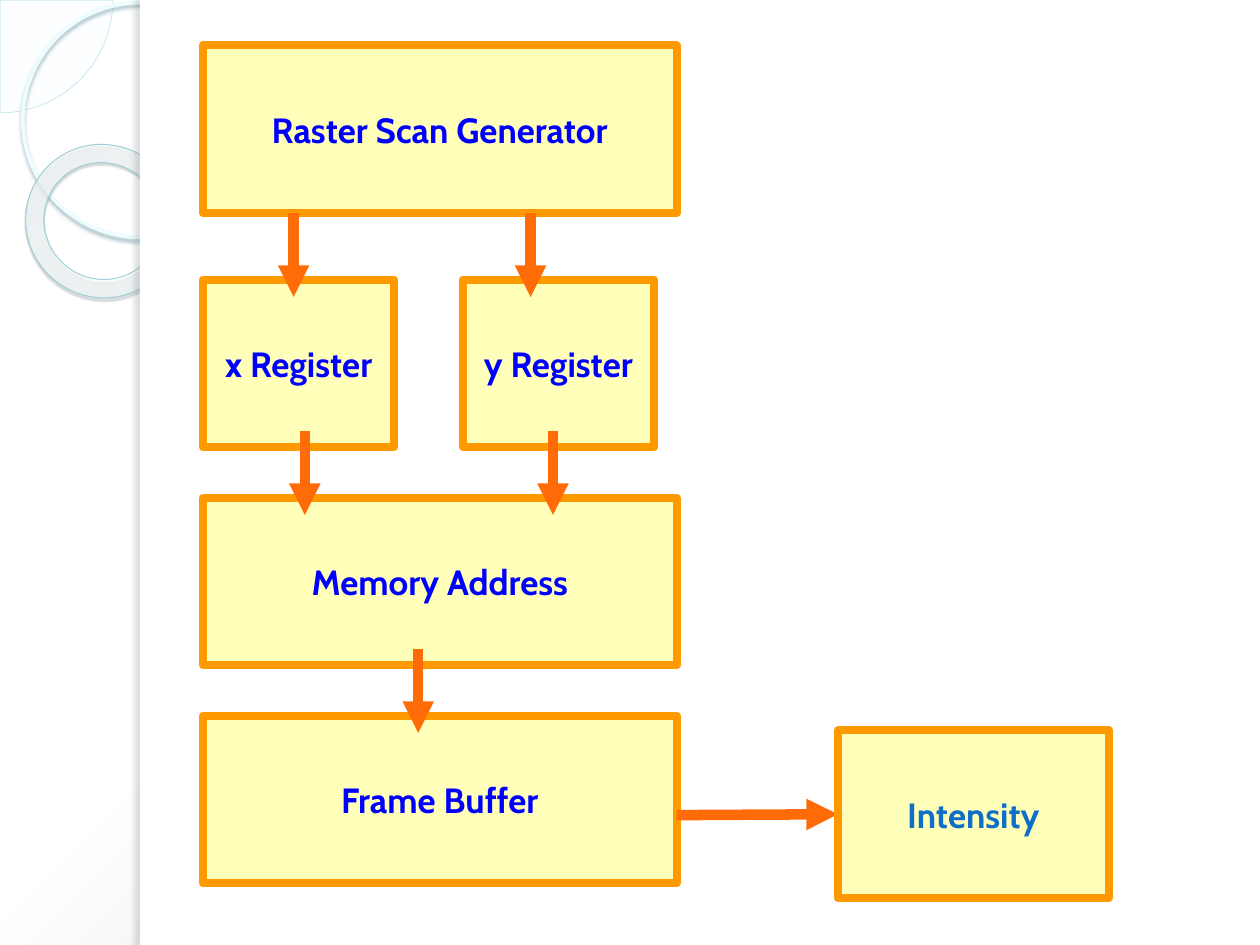
from dataclasses import dataclass
from typing import NamedTuple, Optional

from lxml import etree
from pptx import Presentation
from pptx.dml.color import RGBColor
from pptx.enum.shapes import MSO_CONNECTOR, MSO_SHAPE
from pptx.enum.text import MSO_ANCHOR, PP_ALIGN
from pptx.oxml import parse_xml
from pptx.oxml.ns import nsdecls, qn
from pptx.util import Pt

RECTANGLE, OVAL = MSO_SHAPE.RECTANGLE, MSO_SHAPE.OVAL
PIE, DONUT = MSO_SHAPE.PIE, MSO_SHAPE.DONUT
STRAIGHT = MSO_CONNECTOR.STRAIGHT
MIDDLE, CENTER = MSO_ANCHOR.MIDDLE, PP_ALIGN.CENTER
LEFT_SIDE = 1


@dataclass(frozen=True)
class Theme:
    font: str = "Cabin"
    label_size: float = 20
    label: str = "0000FF"
    output_label: str = "0F6FC6"
    box_fill: str = "FFFFB9"
    box_line: str = "FF9900"
    box_line_width: float = 4.5
    arrow: str = "FF6B07"
    arrow_width: float = 6
    panel: str = "FFFFFF"


class Stop(NamedTuple):
    position: int
    color: str
    alpha: int = 100


class Shadow(NamedTuple):
    color: str
    alpha: int
    blur: float
    distance: float
    angle: int


class Area(NamedTuple):
    left: float
    top: float
    width: float
    height: float


class Box(NamedTuple):
    label: str
    area: Area
    color: str


class Arrow(NamedTuple):
    x: float
    y: float


THEME = Theme()
SLIDE_WIDTH, SLIDE_HEIGHT = 720, 540
PANEL_LEFT = 80

BOX_LEFT, BOX_HEIGHT = 116, 95.8
WIDE, NARROW = 270.7, 109.4
ROW_PITCH = 124.56
REGISTER_TOP = 159.8
MEMORY_TOP = REGISTER_TOP + ROW_PITCH
BUFFER_TOP = MEMORY_TOP + ROW_PITCH
ARROW_LENGTH = 48
ARROW_TOPS = [121.7 + row * ROW_PITCH for row in range(3)]

BOXES = [
    Box("Raster Scan Generator", Area(BOX_LEFT, 26, WIDE, BOX_HEIGHT), THEME.label),
    Box("x Register", Area(BOX_LEFT, REGISTER_TOP, NARROW, BOX_HEIGHT), THEME.label),
    Box("y Register", Area(264.4, REGISTER_TOP, NARROW, BOX_HEIGHT), THEME.label),
    Box("Memory Address", Area(BOX_LEFT, MEMORY_TOP, WIDE, BOX_HEIGHT), THEME.label),
    Box("Frame Buffer", Area(BOX_LEFT, BUFFER_TOP, WIDE, BOX_HEIGHT), THEME.label),
]
INTENSITY = Box("Intensity", Area(478.8, 417.4, 154.8, BOX_HEIGHT), THEME.output_label)
DOWN_ARROWS = [
    Arrow(167.8, ARROW_TOPS[0]),
    Arrow(303.2, ARROW_TOPS[0]),
    Arrow(174.2, ARROW_TOPS[1]),
    Arrow(316, ARROW_TOPS[1]),
    Arrow(239, ARROW_TOPS[2]),
]


def color_xml(color: str, alpha: int) -> str:
    return f'<a:srgbClr val="{color}"><a:alpha val="{alpha * 1000}"/></a:srgbClr>'


def set_circular_gradient(parent, stops: list[Stop], focus: tuple) -> None:
    """Replace the solid fill in parent; focus is left, top, right, bottom in percent."""
    stops_xml = "".join(
        f'<a:gs pos="{stop.position * 1000}">{color_xml(stop.color, stop.alpha)}</a:gs>'
        for stop in stops
    )
    left, top, right, bottom = (edge * 1000 for edge in focus)
    gradient = parse_xml(
        f'<a:gradFill {nsdecls("a")}><a:gsLst>{stops_xml}</a:gsLst>'
        f'<a:path path="circle"><a:fillToRect l="{left}" t="{top}" '
        f'r="{right}" b="{bottom}"/></a:path></a:gradFill>'
    )
    parent.replace(parent.find(qn("a:solidFill")), gradient)


def set_shadow(shape, shadow: Shadow) -> None:
    effects = shape.element.spPr.find(qn("a:effectLst"))
    effects.append(parse_xml(
        f'<a:outerShdw {nsdecls("a")} blurRad="{Pt(shadow.blur)}" '
        f'dist="{Pt(shadow.distance)}" dir="{shadow.angle * 60000}" '
        f'algn="ctr" rotWithShape="0">{color_xml(shadow.color, shadow.alpha)}'
        "</a:outerShdw>"
    ))


def add_shape(slide, kind, area: Area, fill: Optional[str] = None,
              line: Optional[str] = None, line_width: float = 1,
              shadow: Optional[Shadow] = None):
    shape = slide.shapes.add_shape(kind, *(Pt(length) for length in area))
    shape.shadow.inherit = False
    if fill:
        shape.fill.solid()
        shape.fill.fore_color.rgb = RGBColor.from_string(fill)
    else:
        shape.fill.background()
    if line:
        shape.line.color.rgb = RGBColor.from_string(line)
        shape.line.width = Pt(line_width)
    else:
        shape.line.fill.background()
    if shadow:
        set_shadow(shape, shadow)
    return shape


def write_label(shape, text: str, *, color: str, size: float = THEME.label_size,
                bold: bool = True) -> None:
    frame = shape.text_frame
    frame.word_wrap = False
    frame.vertical_anchor = MIDDLE
    paragraph = frame.paragraphs[0]
    paragraph.alignment = CENTER
    run = paragraph.add_run()
    run.text = text
    run.font.name = THEME.font
    run.font.size = Pt(size)
    run.font.bold = bold
    run.font.color.rgb = RGBColor.from_string(color)


def add_box(slide, box: Box):
    shape = add_shape(slide, RECTANGLE, box.area, THEME.box_fill,
                      THEME.box_line, THEME.box_line_width)
    write_label(shape, box.label, color=box.color)
    return shape


def add_arrow(slide, start: Arrow, end: Arrow):
    arrow = slide.shapes.add_connector(
        STRAIGHT, Pt(start.x), Pt(start.y), Pt(end.x), Pt(end.y))
    arrow.line.color.rgb = RGBColor.from_string(THEME.arrow)
    arrow.line.width = Pt(THEME.arrow_width)
    properties = arrow.element.spPr
    etree.SubElement(properties.find(qn("a:ln")), qn("a:tailEnd"), type="triangle")
    etree.SubElement(properties, qn("a:effectLst"))
    return arrow


def add_backdrop(slide) -> None:
    """Draw the background, the rings on the left and the white content panel."""
    slide.background.fill.solid()
    set_circular_gradient(
        slide.element.find(".//" + qn("p:bgPr")),
        [Stop(0, "FFFFFF"), Stop(40, "FFFFFF"), Stop(100, "C5C5C5")],
        (-24, -20, 124, 120))

    corner = add_shape(slide, PIE, Area(-64.3, -64.3, 128.8, 128.8), "F8FEFF", "AFDBE2", 0.25)
    corner.adjustments[0] = 0
    corner.adjustments[1] = 54.02
    corner_color = corner.element.spPr.find(qn("a:solidFill"))[0]
    etree.SubElement(corner_color, qn("a:alpha"), val="33000")

    add_shape(slide, OVAL, Area(13, 1.5, 134, 134), None, "EDFCFF", 2.15,
              Shadow("9CB9BE", 85, 2, 2, 90))

    ring = add_shape(slide, DONUT, Area(14.4, 82.8, 88.6, 87.1), "F9FEFF", "A1CFD6", 0.58,
                     Shadow("4B5E61", 35, 1, 1.2, 75))
    ring.adjustments[0] = 0.12
    ring.rotation = 38.6
    set_circular_gradient(
        ring.element.spPr,
        [Stop(0, "F9FEFF", 70), Stop(70, "FDFFFF", 55), Stop(100, "9EF2FF", 60)],
        (-408, -50, 508, 150))

    add_shape(slide, RECTANGLE, Area(PANEL_LEFT, 0, SLIDE_WIDTH - PANEL_LEFT, SLIDE_HEIGHT),
              THEME.panel)
    add_shape(slide, RECTANGLE, Area(PANEL_LEFT, 0, 5.8, SLIDE_HEIGHT), THEME.panel,
              shadow=Shadow("6C7A7C", 25, 3, 3, 180))


def main() -> None:
    presentation = Presentation()
    presentation.slide_width, presentation.slide_height = Pt(SLIDE_WIDTH), Pt(SLIDE_HEIGHT)
    slide = presentation.slides.add_slide(presentation.slide_layouts[6])
    add_backdrop(slide)
    for box in BOXES:
        add_box(slide, box)
    for start in DOWN_ARROWS:
        add_arrow(slide, start, Arrow(start.x, start.y + ARROW_LENGTH))
    output_arrow = add_arrow(slide, Arrow(BOX_LEFT + WIDE, 465.8), Arrow(478.8, 465.8))
    output_arrow.end_connect(add_box(slide, INTENSITY), LEFT_SIDE)
    presentation.save("out.pptx")


if __name__ == "__main__":
    main()
